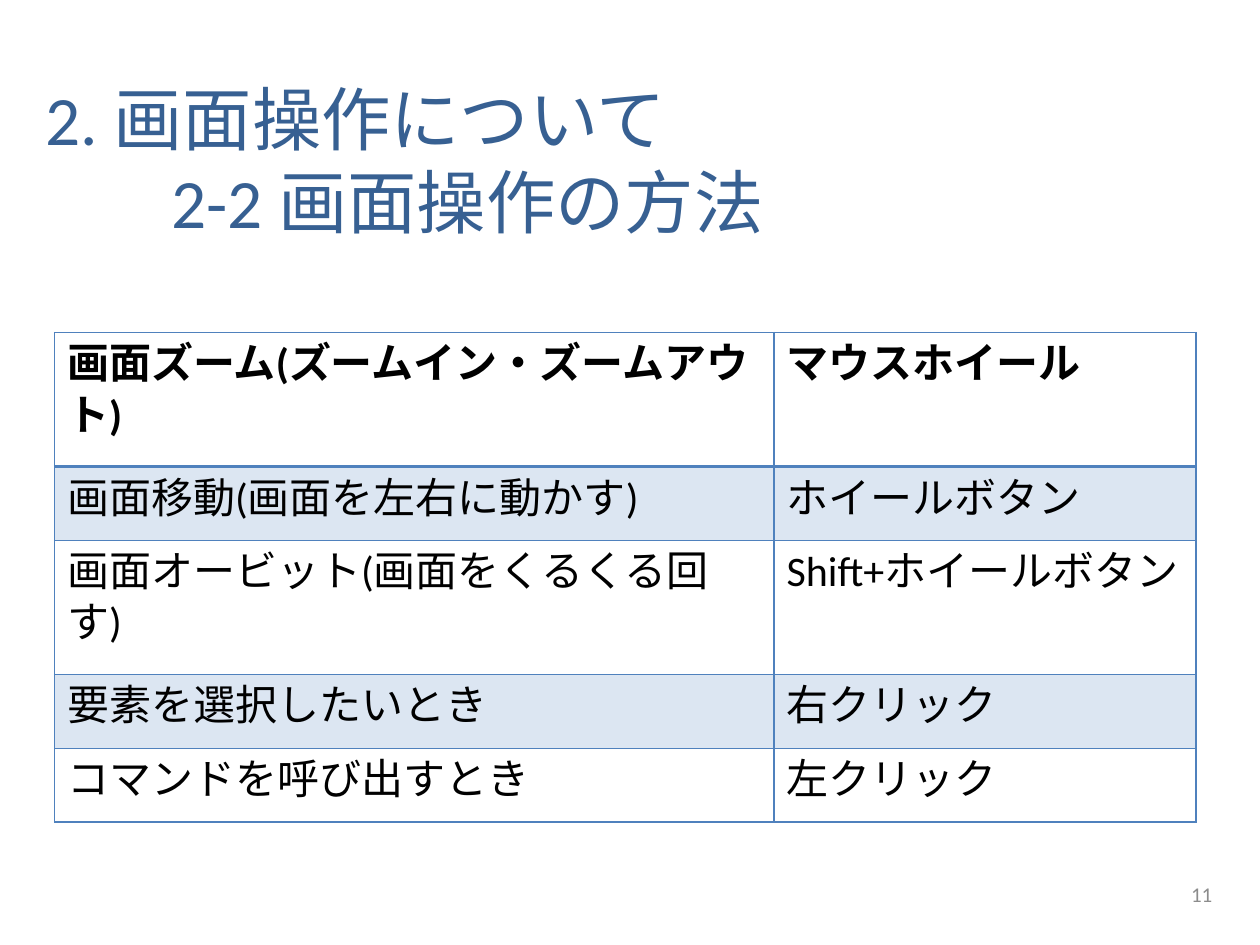
import pptx
import pptx.dml.color
import pptx.enum.text
import pptx.oxml
import pptx.oxml.ns
import pptx.util

RGBColor = pptx.dml.color.RGBColor
PP_ALIGN = pptx.enum.text.PP_ALIGN
MIDDLE = pptx.enum.text.MSO_ANCHOR.MIDDLE
NS = pptx.oxml.ns.nsdecls("a")

TITLE_BLUE = RGBColor(0x37, 0x60, 0x92)
LINE_BLUE = RGBColor(0x4F, 0x81, 0xBD)
BAND_BLUE = RGBColor(0xDC, 0xE6, 0xF2)
GREY = RGBColor(0x8C, 0x8C, 0x8C)
BLACK = RGBColor(0, 0, 0)

OPERATIONS = [
    ("画面ズーム(ズームイン・ズームアウト)", "マウスホイール"),
    ("画面移動(画面を左右に動かす)", "ホイールボタン"),
    ("画面オービット(画面をくるくる回す)", "Shift+ホイールボタン"),
    ("要素を選択したいとき", "右クリック"),
    ("コマンドを呼び出すとき", "左クリック"),
]


def write(tf, text, size, color=BLACK, bold=False, align=None, tab=None):
    p = tf.paragraphs[0]
    p.text = text
    p.alignment = align
    if tab:
        p._p.get_or_add_pPr().append(pptx.oxml.parse_xml(
            f'<a:tabLst {NS}><a:tab pos="{tab}" algn="l"/></a:tabLst>'))
    for r in p.runs:
        r.font.name = "Calibri"
        r.font.size = pptx.util.Pt(size)
        r.font.bold = bold
        r.font.color.rgb = color
        r.font._element.append(pptx.oxml.parse_xml(f'<a:ea {NS} typeface="Calibri"/>'))


def set_border(cell, side, points, position):
    """Put one cell edge (L, R, T or B) at its place before the cell fill."""
    ln = pptx.oxml.parse_xml(
        f'<a:ln{side} {NS} w="{pptx.util.Pt(points)}">'
        f'<a:solidFill><a:srgbClr val="{LINE_BLUE}"/></a:solidFill></a:ln{side}>')
    cell._tc.get_or_add_tcPr().insert(position, ln)


prs = pptx.Presentation()
prs.slide_width = pptx.util.Inches(10)
prs.slide_height = pptx.util.Inches(7.5)
s = prs.slides.add_slide(prs.slide_layouts[6])

# One hundredth of the slide's width and height
X = prs.slide_width // 100
Y = prs.slide_height // 100

# Title and page number
for left, top, width, height, text, style in [
    (2.6, 8.53, 92.9, 16.67, "2. 画面操作について\v\t2-2 画面操作の方法",
     dict(size=39.6, color=TITLE_BLUE, tab=10 * X)),
    (92.5, 92, 4.7, 5.33, "11", dict(size=12, color=GREY, align=PP_ALIGN.RIGHT)),
]:
    sp = s.shapes.add_textbox(int(left * X), int(top * Y), int(width * X), int(height * Y))
    sp.text_frame.word_wrap = True
    sp.text_frame.vertical_anchor = MIDDLE
    write(sp.text_frame, text, **style)

# Table of mouse operations: rows of one or two text lines
ONE_LINE, TWO_LINES = int(7.8 * Y), int(14.2 * Y)
ROWS = [TWO_LINES, ONE_LINE, TWO_LINES, ONE_LINE, ONE_LINE]
COLUMNS = [int(57.1 * X), int(33.5 * X)]
table = s.shapes.add_table(len(ROWS), len(COLUMNS), int(4.33 * X), int(35.2 * Y),
                           sum(COLUMNS), sum(ROWS)).table
table.first_row = table.horz_banding = False
for column, width in zip(table.columns, COLUMNS):
    column.width = width

for i, texts in enumerate(OPERATIONS):
    table.rows[i].height = ROWS[i]
    for j, text in enumerate(texts):
        cell = table.cell(i, j)
        write(cell.text_frame, text, size=24, bold=i == 0)
        if i % 2:
            cell.fill.solid()
            cell.fill.fore_color.rgb = BAND_BLUE
        else:
            cell.fill.background()
        weights = {"L": 1, "R": 1, "T": 2 if i == 1 else 1, "B": 2 if i == 0 else 1}
        for position, (side, points) in enumerate(weights.items()):
            set_border(cell, side, points, position)

prs.save("out.pptx")
